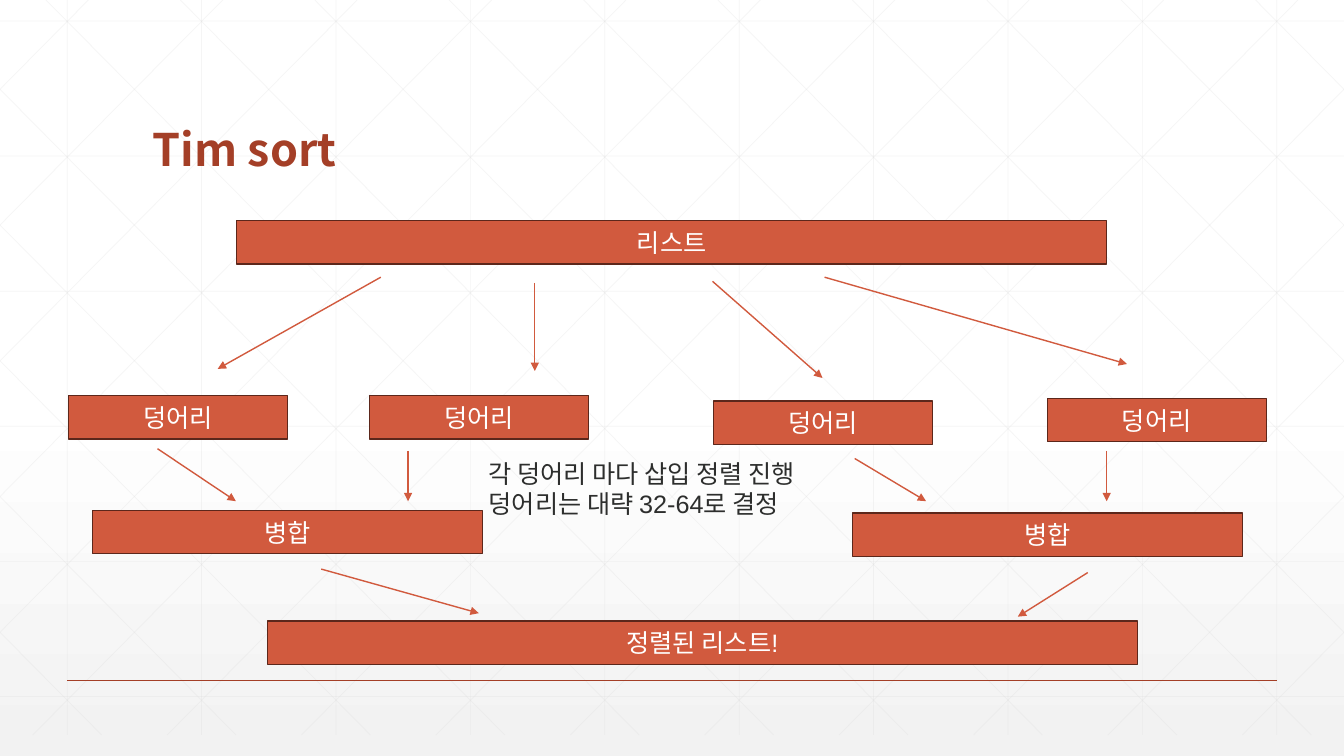
from dataclasses import dataclass

from lxml.etree import SubElement
from pptx import Presentation
from pptx.dml.color import RGBColor
from pptx.enum.shapes import MSO_CONNECTOR, MSO_SHAPE
from pptx.enum.text import MSO_ANCHOR, MSO_AUTO_SIZE, PP_ALIGN
from pptx.oxml.ns import qn
from pptx.util import Pt


@dataclass(frozen=True)
class Theme:
    accent: RGBColor = RGBColor.from_string("D15A3E")
    dark_accent: RGBColor = RGBColor.from_string("A43F27")
    outline: RGBColor = RGBColor.from_string("5C271B")
    ink: RGBColor = RGBColor.from_string("2D2E2D")
    white: RGBColor = RGBColor.from_string("FFFFFF")
    mist: RGBColor = RGBColor.from_string("F2F2F2")
    grid: RGBColor = RGBColor.from_string("D9D9D9")
    title_font: str = "Noto Sans CJK KR"
    body_font: str = "Arial"
    title_size: int = 32
    body_size: int = 18


THEME = Theme()
WIDTH, HEIGHT = 960, 540
GRID_TOP, GRID_BOTTOM, GRID_STEP = -15, 525, 96
BAR_HEIGHT = 31

# Bars: text, left, top, width
BARS = [
    ("리스트", 169, 157.5, 621.5),
    ("덩어리", 49, 282.5, 156.5),
    ("덩어리", 264, 282.5, 156.5),
    ("덩어리", 509.5, 286.5, 156.5),
    ("덩어리", 748, 284.5, 156.5),
    ("병합", 66, 364.5, 278.5),
    ("병합", 609, 366.5, 278.5),
    ("정렬된 리스트!", 191, 443.5, 621.5),
]

# Arrows: start x, start y, end x, end y
SPLIT_ARROWS = [
    (272, 198, 155.5, 263.5),
    (382, 202, 382, 265),
    (509, 201, 587.5, 270),
    (589, 198, 805, 260),
]
MERGE_ARROWS = [
    (112.5, 320.5, 168.5, 358),
    (291.5, 322, 291.5, 358),
    (610.5, 327.5, 661.5, 358),
    (790.5, 322, 790.5, 358),
]
RESULT_ARROWS = [
    (229.5, 406.5, 342, 438),
    (777, 409, 727, 440.5),
]


def apply_format(target, values):
    for attribute, value in values.items():
        setattr(target, attribute, value)


def write(frame, lines, color, paragraph_format, font_format):
    frame.text = "\n".join(lines)
    for paragraph in frame.paragraphs:
        apply_format(paragraph, paragraph_format)
        for run in paragraph.runs:
            apply_format(run.font, font_format)
            run.font.color.rgb = color


def body_type():
    return {"name": THEME.body_font, "size": Pt(THEME.body_size)}


def add_line(slide, start, end, color, weight=1):
    connector = slide.shapes.add_connector(
        MSO_CONNECTOR.STRAIGHT, *(Pt(value) for value in (*start, *end)))
    connector.line.color.rgb = color
    connector.line.width = Pt(weight)
    SubElement(connector.element.spPr, qn("a:effectLst"))
    return connector


def add_arrow(slide, x1, y1, x2, y2):
    arrow = add_line(slide, (x1, y1), (x2, y2), THEME.accent)
    SubElement(arrow.line._get_or_add_ln(), qn("a:tailEnd"), type="triangle")


def add_grid_line(slide, start, end):
    grid_line = add_line(slide, start, end, THEME.grid, 0.5)
    color = next(grid_line.element.iter(qn("a:srgbClr")))
    SubElement(color, qn("a:alpha"), val="25000")


def add_bar(slide, text, left, top, width):
    bar = slide.shapes.add_shape(
        MSO_SHAPE.RECTANGLE, Pt(left), Pt(top), Pt(width), Pt(BAR_HEIGHT))
    bar.shadow.inherit = False
    bar.fill.solid()
    bar.fill.fore_color.rgb = THEME.accent
    bar.line.color.rgb = THEME.outline
    bar.line.width = Pt(1)
    bar.text_frame.vertical_anchor = MSO_ANCHOR.MIDDLE
    write(bar.text_frame, [text], THEME.white,
          {"alignment": PP_ALIGN.CENTER}, body_type())


def add_note(slide, lines, left, top, width, height):
    note = slide.shapes.add_textbox(Pt(left), Pt(top), Pt(width), Pt(height))
    apply_format(note.text_frame, {
        "word_wrap": True, "auto_size": MSO_AUTO_SIZE.SHAPE_TO_FIT_TEXT})
    write(note.text_frame, lines, THEME.ink, {}, body_type())


def add_title(slide, text):
    title = slide.shapes.title
    apply_format(title, {"left": Pt(102), "top": Pt(39.5),
                         "width": Pt(756), "height": Pt(90)})
    apply_format(title.text_frame, {
        "vertical_anchor": MSO_ANCHOR.BOTTOM, "word_wrap": True,
        "auto_size": MSO_AUTO_SIZE.NONE})
    write(title.text_frame, [text], THEME.dark_accent,
          {"alignment": PP_ALIGN.LEFT, "line_spacing": 0.9},
          {"name": THEME.title_font, "size": Pt(THEME.title_size),
           "bold": True})
    # Bring the title in front of the grid
    slide.shapes.element.append(title.element)


def add_backdrop(slide):
    # White fading to light grey at the bottom
    fill = slide.background.fill
    fill.gradient()
    fill.gradient_angle = 270
    stops = zip(fill.gradient_stops, (0.53, 1), (THEME.white, THEME.mist))
    for stop, position, color in stops:
        stop.position = position
        stop.color.rgb = color

    # Upright and level grid lines
    for column in range(10):
        x = 48 + GRID_STEP * column
        add_grid_line(slide, (x, 0), (x, GRID_BOTTOM))
    for row in range(6):
        y = 15 + 96.5 * row
        add_grid_line(slide, (0, y), (WIDTH, y))

    # Diagonals clipped to the slide, each with its mirror image
    run_per_rise = 0.99
    for index in range(-5, 10):
        origin = 18 + GRID_STEP * index
        top = max(0, GRID_TOP - origin / run_per_rise)
        bottom = min(GRID_BOTTOM, GRID_TOP + (WIDTH - origin) / run_per_rise)
        x1, x2 = (origin + (y - GRID_TOP) * run_per_rise
                  for y in (top, bottom))
        add_grid_line(slide, (x1, top), (x2, bottom))
        add_grid_line(slide, (WIDTH - x1, top), (WIDTH - x2, bottom))

    # Footer rule
    add_line(slide, (48, 486), (912, 486), THEME.dark_accent)


def main():
    deck = Presentation()
    deck.slide_width, deck.slide_height = Pt(WIDTH), Pt(HEIGHT)
    slide = deck.slides.add_slide(deck.slide_layouts[5])

    add_backdrop(slide)
    add_title(slide, "Tim sort")

    # Sorting flow
    for bar in BARS:
        add_bar(slide, *bar)
    for arrow in SPLIT_ARROWS + MERGE_ARROWS + RESULT_ARROWS:
        add_arrow(slide, *arrow)
    add_note(slide, ["각 덩어리 마다 삽입 정렬 진행", "덩어리는 대략 32-64로 결정"],
             342, 323.5, 278.5, 51)

    deck.save("out.pptx")


if __name__ == "__main__":
    main()
